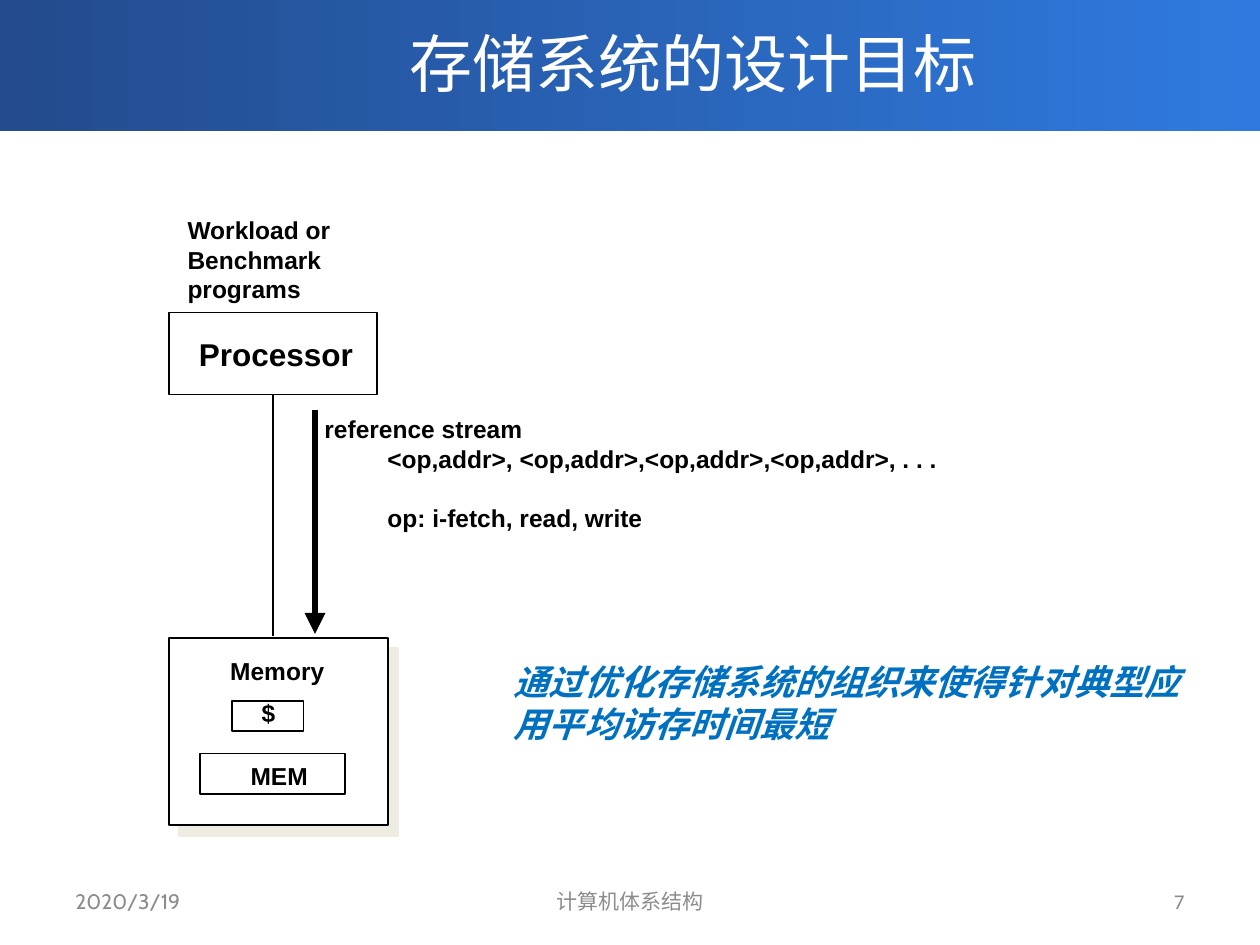
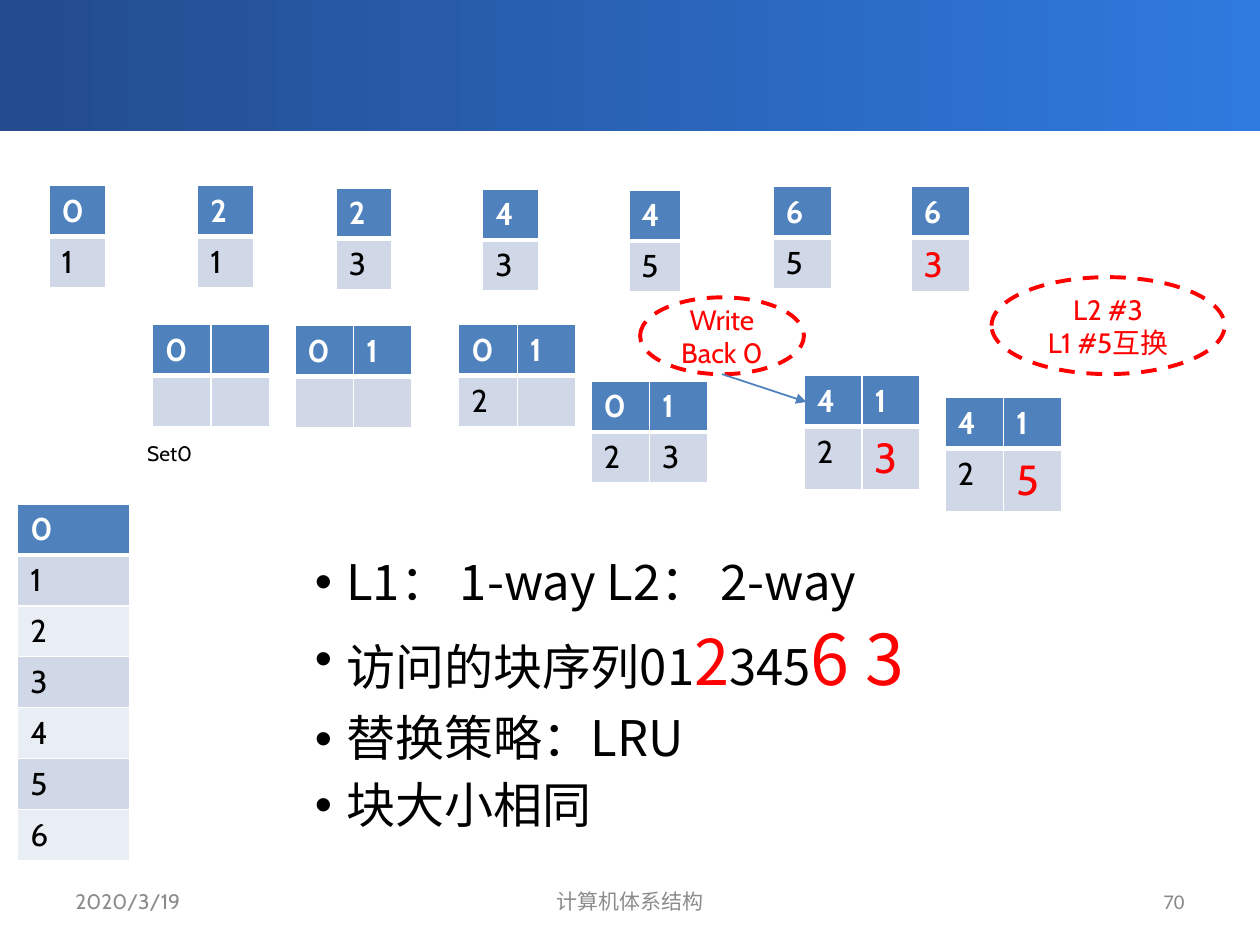
"""Build two slides on memory system design and a two-level cache example."""
import pptx
import pptx.dml.color
import pptx.enum.dml
import pptx.enum.shapes
import pptx.enum.text
import pptx.oxml
import pptx.oxml.ns
import pptx.util
from lxml import etree

Pt = pptx.util.Pt
qn = pptx.oxml.ns.qn
SHAPE = pptx.enum.shapes.MSO_SHAPE
ALIGN = pptx.enum.text.PP_ALIGN
MIDDLE = pptx.enum.text.MSO_ANCHOR.MIDDLE
COLOURS = {name: pptx.dml.color.RGBColor.from_string(value) for name, value in {
    "band_left": "234B8D", "band_right": "2F7ADF", "white": "FFFFFF", "black": "000000",
    "red": "FF0000", "goal": "0070C0", "footer": "8C8C8C", "number": "898989",
    "header": "4F81BD", "odd": "D0D8E8", "even": "E9EDF4"}.items()}


def style(frame, size, colour, font, bold=False, italic=False, align=None):
    for paragraph in frame.paragraphs:
        paragraph.alignment = align
        for run in paragraph.runs:
            run.font.size = Pt(size)
            run.font.color.rgb = COLOURS[colour]
            run.font.name = font
            run.font.bold = bold
            run.font.italic = italic
            etree.SubElement(run.font._element, qn("a:ea"), typeface=font)


def add_text(slide, box, text, size, colour, font, wrap=True, **look):
    frame = slide.shapes.add_textbox(*map(Pt, box)).text_frame
    frame.word_wrap = wrap
    frame.text = text
    style(frame, size, colour, font, **look)
    return frame


prs = pptx.Presentation()
prs.slide_width, prs.slide_height = Pt(720), Pt(540)
goal_slide = prs.slides.add_slide(prs.slide_layouts[5])
cache_slide = prs.slides.add_slide(prs.slide_layouts[6])

band = goal_slide.shapes.add_shape(SHAPE.RECTANGLE, 0, Pt(-2), Pt(720), Pt(77))
band.shadow.inherit = False
band.line.fill.background()
band.fill.gradient()
band.fill.gradient_angle = 0
for stop, name, position in zip(band.fill.gradient_stops, ("band_left", "band_right"), (0, 1)):
    stop.color.rgb = COLOURS[name]
    stop.position = position
prs.slide_master.shapes._spTree.insert(2, band._element)

for slide, number in ((goal_slide, "7"), (cache_slide, "70")):
    for left, width, text, colour, font, align in (
            (36, 168, "2020/3/19", "footer", "Cabin", ALIGN.LEFT),
            (246, 228, "计算机体系结构", "footer", "Cabin", ALIGN.CENTER),
            (516, 168, number, "number", "Calibri", ALIGN.RIGHT)):
        footer = add_text(slide, (left, 500.5, width, 28.8), text, 12, colour, font, align=align)
        footer.vertical_anchor = MIDDLE

title = goal_slide.shapes.title
title.left, title.top, title.width, title.height = map(Pt, (72, 0, 648, 71.3))
title.text_frame.text = "存储系统的设计目标"
title.text_frame.vertical_anchor = MIDDLE
style(title.text_frame, 36, "white", "Noto Sans CJK SC", align=ALIGN.CENTER)

blocks = []
for box in ((96.5, 178.6, 119, 46.8), (96.5, 364.4, 125.3, 107.2),
            (132.5, 400.4, 41, 17.2), (114.5, 430.6, 82.8, 23)):
    block = goal_slide.shapes.add_shape(SHAPE.RECTANGLE, *map(Pt, box))
    block.shadow.inherit = False
    block.fill.solid()
    block.fill.fore_color.rgb = COLOURS["white"]
    block.line.color.rgb = COLOURS["black"]
    block.line.width = Pt(1)
    blocks.append(block)
processor, memory = blocks[:2]
shadow = etree.SubElement(memory._element.spPr.find(qn("a:effectLst")), qn("a:outerShdw"),
                          blurRad="0", dist=str(Pt(8.5)), dir="2700000",
                          algn="ctr", rotWithShape="0")
etree.SubElement(shadow, qn("a:srgbClr"), val="EEECE1")

for box, text, size in (
        ((106.6, 187.9, 103, 28.8), "Processor", 18),
        ((142.4, 395.3, 22.3, 24.5), "$", 14),
        ((136.1, 431.3, 47.5, 24.5), "MEM", 14),
        ((124.4, 371.5, 68.4, 24.5), "Memory", 14),
        ((100.1, 119.5, 96.5, 58.3), "Workload or\nBenchmark\nprograms", 14)):
    add_text(goal_slide, box, text, size, "black", "Arial", wrap=False, bold=True)

stream = add_text(goal_slide, (178.3, 233.3, 365.8, 74.9),
                  "reference stream\n<op,addr>, <op,addr>,<op,addr>,<op,addr>, . . .\n"
                  "op: i-fetch, read, write", 14, "black", "Arial", wrap=False, bold=True)
for paragraph in stream.paragraphs[1:]:
    paragraph.level = 1
    paragraph._p.get_or_add_pPr().set("marL", str(Pt(36)))
    paragraph._p.get_or_add_pPr().set("indent", "0")
stream.paragraphs[2].space_before = Pt(17)

add_text(goal_slide, (286.6, 373.7, 403.9, 55.4),
         "通过优化存储系统的组织来使得针对典型应用平均访存时间最短",
         20, "goal", "Arial", bold=True, italic=True)

row_height = 29.1
for left, top, column_width, rows, red_size in (
        (28, 106, 32.2, ("0", "1"), None),
        (113, 106, 32.2, ("2", "1"), None),
        (192.2, 107.3, 31.7, ("2", "3"), None),
        (275.8, 108, 32.2, ("4", "3"), None),
        (359.3, 108.7, 29.5, ("4", "5"), None),
        (441.7, 106.6, 33.5, ("6", "5"), None),
        (520.6, 106.6, 33.5, ("6", "3"), 20),
        (87.1, 185.4, 33.5, ("0 ", "  "), None),
        (168.5, 186, 33.5, ("01", "  "), None),
        (262.1, 185.4, 33.5, ("01", "2 "), None),
        (337.7, 217.8, 33.5, ("01", "23"), None),
        (459.6, 214.6, 33, ("41", "23"), 24),
        (540, 227.2, 33.5, ("41", "25"), 24),
        (10.1, 288, 64.1, "0123456", None)):
    columns = len(rows[0])
    cache = cache_slide.shapes.add_table(
        len(rows), columns, Pt(left), Pt(top),
        Pt(column_width * columns), Pt(row_height * len(rows))).table
    for column in cache.columns:
        column.width = Pt(column_width)
    for r, values in enumerate(rows):
        cache.rows[r].height = Pt(row_height)
        for c, value in enumerate(values):
            cell = cache.cell(r, c)
            for side in "LRTB":
                thick = (side, r) in (("B", 0), ("T", 1))
                border = etree.SubElement(cell._tc.get_or_add_tcPr(), qn("a:ln" + side),
                                          w=str(Pt(3 if thick else 1)))
                fill = etree.SubElement(border, qn("a:solidFill"))
                etree.SubElement(fill, qn("a:srgbClr"), val="FFFFFF")
            cell.fill.solid()
            cell.fill.fore_color.rgb = COLOURS["header" if r == 0 else "odd" if r % 2 else "even"]
            cell.text_frame.text = value.strip()
            if red_size and r == 1 and c == columns - 1:
                style(cell.text_frame, red_size, "red", "Cabin")
            else:
                style(cell.text_frame, 18, "black" if r else "white", "Cabin", bold=r == 0)

for box, text in (((365.8, 169.9, 93.6, 43.9), "Write\nBack 0"),
                  ((566.6, 158.4, 133.2, 55.4), "L2 #3\nL1 #5互换")):
    callout = cache_slide.shapes.add_shape(SHAPE.OVAL, *map(Pt, box))
    callout.shadow.inherit = False
    callout.fill.background()
    callout.line.color.rgb = COLOURS["red"]
    callout.line.width = Pt(2.25)
    callout.line.dash_style = pptx.enum.dml.MSO_LINE.DASH
    callout.text_frame.text = text
    callout.text_frame.vertical_anchor = MIDDLE
    style(callout.text_frame, 16, "red", "Cabin", align=ALIGN.CENTER)

add_text(cache_slide, (77, 248.4, 43.2, 21.6), "Set0", 12, "black", "Cabin")

summary = cache_slide.shapes.add_textbox(Pt(172.8), Pt(315.4), Pt(497.5), Pt(185)).text_frame
summary.word_wrap = True
for i, parts in enumerate((
        (("L1： 1-way L2： 2-way", 28, "black"),),
        (("访问的块序列01", 28, "black"), ("2", 36, "red"),
         ("345", 28, "black"), ("6 3", 40, "red")),
        (("替换策略：LRU", 28, "black"),),
        (("块大小相同", 28, "black"),))):
    point = summary.add_paragraph() if i else summary.paragraphs[0]
    point.line_spacing = 0.9
    if i:
        point.space_before = Pt(8)
    properties = point._p.get_or_add_pPr()
    properties.set("marL", str(Pt(18)))
    properties.set("indent", str(Pt(-18)))
    etree.SubElement(properties, qn("a:buFont"), typeface="Arial")
    etree.SubElement(properties, qn("a:buChar"), char="•")
    for text, size, colour in parts:
        run = point.add_run()
        run.text = text
        run.font.size = Pt(size)
        run.font.color.rgb = COLOURS[colour]
        run.font.name = "Noto Sans CJK SC"
        etree.SubElement(run.font._element, qn("a:ea"), typeface="Noto Sans CJK SC")

for slide, ends, colour, width, arrow, source in (
        (goal_slide, (156, 225.4, 156, 363.6), "black", 1, False, processor),
        (goal_slide, (180, 234, 180, 362.2), "black", 4, True, None),
        (cache_slide, (412.6, 213.8, 460.8, 229.7), "header", 1, True, None)):
    link = slide.shapes.add_connector(pptx.enum.shapes.MSO_CONNECTOR.STRAIGHT, *map(Pt, ends))
    link.line.color.rgb = COLOURS[colour]
    link.line.width = Pt(width)
    if arrow:
        etree.SubElement(link.line._get_or_add_ln(), qn("a:tailEnd"), type="triangle")
    etree.SubElement(link._element.spPr, qn("a:effectLst"))
    if source:
        link.begin_connect(source, 2)

prs.save("out.pptx")
